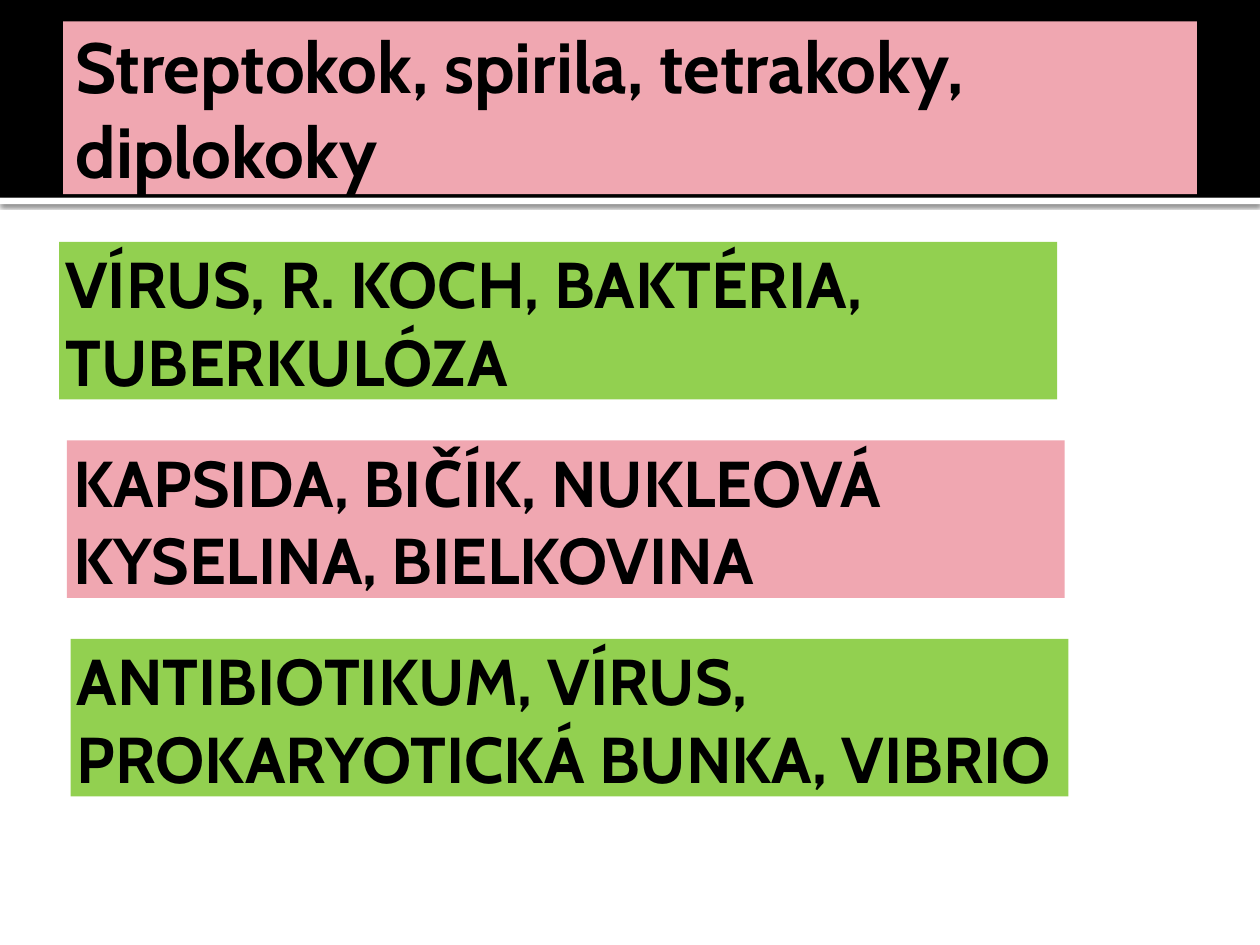
from dataclasses import dataclass

from lxml.etree import SubElement
from pptx import Presentation
from pptx.dml.color import RGBColor
from pptx.enum.shapes import MSO_SHAPE
from pptx.enum.text import MSO_ANCHOR, MSO_AUTO_SIZE, PP_ALIGN
from pptx.oxml.ns import qn
from pptx.shapes.autoshape import Shape
from pptx.slide import Slide
from pptx.util import Inches, Pt

COLORS = {"black": "000000", "white": "FFFFFF", "pink": "F0A7B1", "green": "92D050"}
FONT = "Cabin"


@dataclass
class WordGroup:
    words: str
    left: float
    color: str


WORD_GROUPS = [
    WordGroup("VÍRUS, R. KOCH, BAKTÉRIA, TUBERKULÓZA", 0.47, "green"),
    WordGroup("KAPSIDA, BIČÍK, NUKLEOVÁ KYSELINA, BIELKOVINA", 0.53, "pink"),
    WordGroup("ANTIBIOTIKUM, VÍRUS, PROKARYOTICKÁ BUNKA, VIBRIO", 0.56, "green"),
]
FIRST_TOP, GROUP_PITCH = 1.92, 1.575


def fill_with(shape: Shape, color: str) -> None:
    shape.fill.solid()
    shape.fill.fore_color.rgb = RGBColor.from_string(COLORS[color])


def add_band(slide: Slide, top: float, height: float, color: str) -> Shape:
    band = slide.shapes.add_shape(
        MSO_SHAPE.RECTANGLE, 0, Inches(top), Inches(10), Inches(height))
    fill_with(band, color)
    band.line.fill.background()
    band.shadow.inherit = False
    return band


def add_soft_shadow(band: Shape) -> None:
    effects = band.element.spPr.find(qn("a:effectLst"))
    shadow = SubElement(effects, qn("a:outerShdw"), blurRad=str(Pt(2.5)),
                        dist=str(Pt(0.8)), dir="5400000", algn="tl", rotWithShape="0")
    tint = SubElement(shadow, qn("a:srgbClr"), val=COLORS["black"])
    SubElement(tint, qn("a:alpha"), val="60000")


def write_words(shape: Shape, words: str, size: float, anchor: MSO_ANCHOR,
                insets: tuple[float, float, float, float]) -> None:
    frame = shape.text_frame
    frame.word_wrap = True
    frame.auto_size = MSO_AUTO_SIZE.NONE
    frame.vertical_anchor = anchor
    (frame.margin_left, frame.margin_top,
     frame.margin_right, frame.margin_bottom) = map(Inches, insets)
    paragraph = frame.paragraphs[0]
    paragraph.alignment = PP_ALIGN.LEFT
    run = paragraph.add_run()
    run.text = words
    run.font.name = FONT
    run.font.size = Pt(size)
    run.font.bold = True
    run.font.color.rgb = RGBColor.from_string(COLORS["black"])


def add_word_group(slide: Slide, group: WordGroup, top: float) -> None:
    box = slide.shapes.add_textbox(
        Inches(group.left), Inches(top), Inches(7.92), Inches(1.25))
    fill_with(box, group.color)
    write_words(box, group.words, 37, MSO_ANCHOR.BOTTOM, (0.05, 0, 0.05, 0))


def main() -> None:
    deck = Presentation()
    deck.slide_width, deck.slide_height = Inches(10), Inches(7.5)
    slide = deck.slides.add_slide(deck.slide_layouts[5])

    # Header bands
    add_soft_shadow(add_band(slide, 1.57, 0.05, "white"))
    add_band(slide, 0, 1.57, "black")

    # Title, brought in front of the bands
    title = slide.shapes.title
    slide.shapes.element.append(title.element)
    title.left, title.top = Inches(0.5), Inches(0.17)
    title.width, title.height = Inches(9), Inches(1.37)
    fill_with(title, "pink")
    write_words(title, "Streptokok, spirila, tetrakoky, diplokoky", 40.5,
                MSO_ANCHOR.MIDDLE, (0.1, 0.05, 0.05, 0.05))

    # Word groups
    for index, group in enumerate(WORD_GROUPS):
        add_word_group(slide, group, FIRST_TOP + index * GROUP_PITCH)

    deck.save("out.pptx")


if __name__ == "__main__":
    main()
